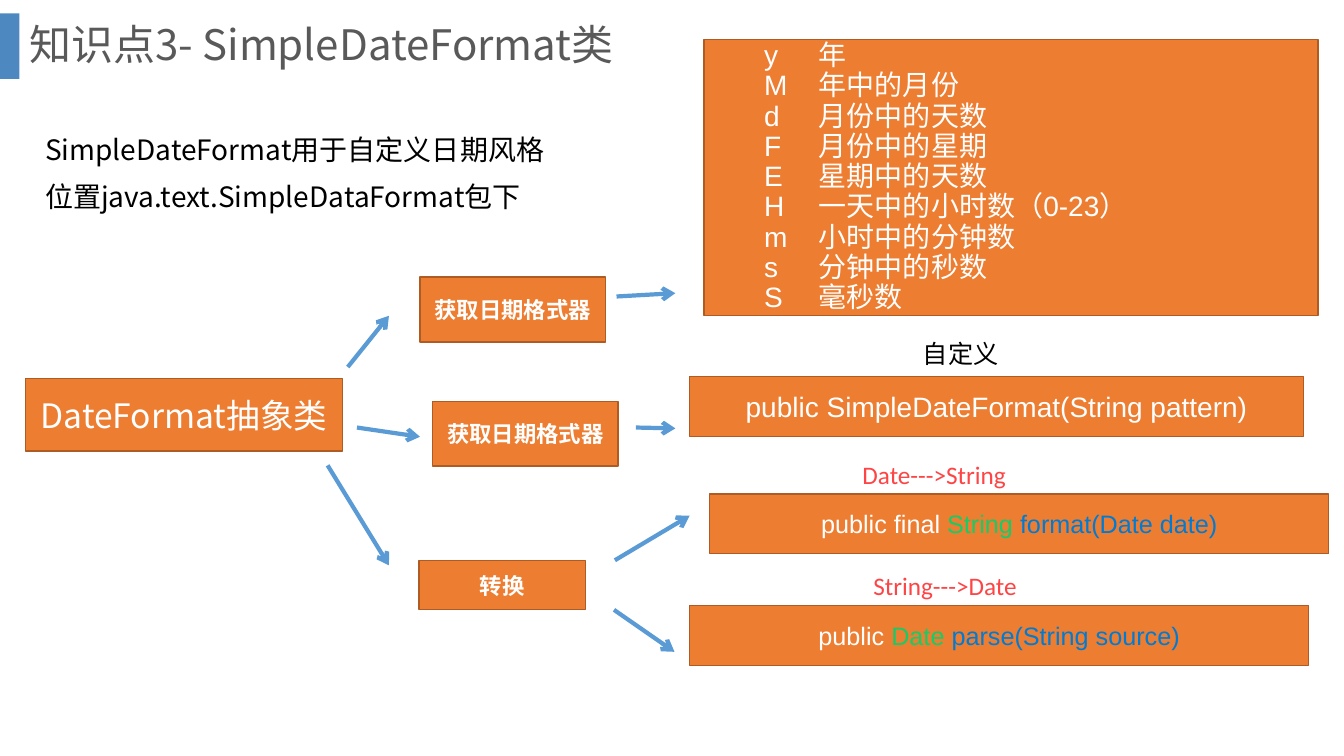
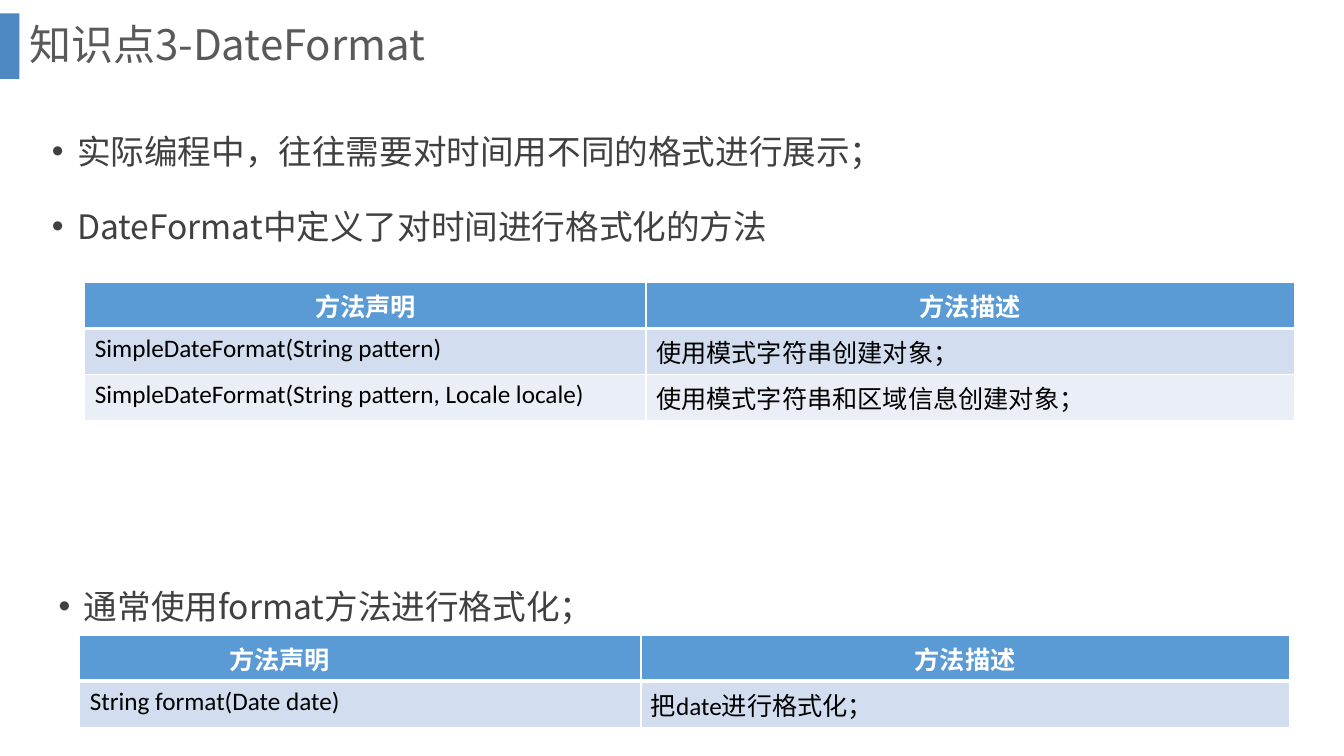
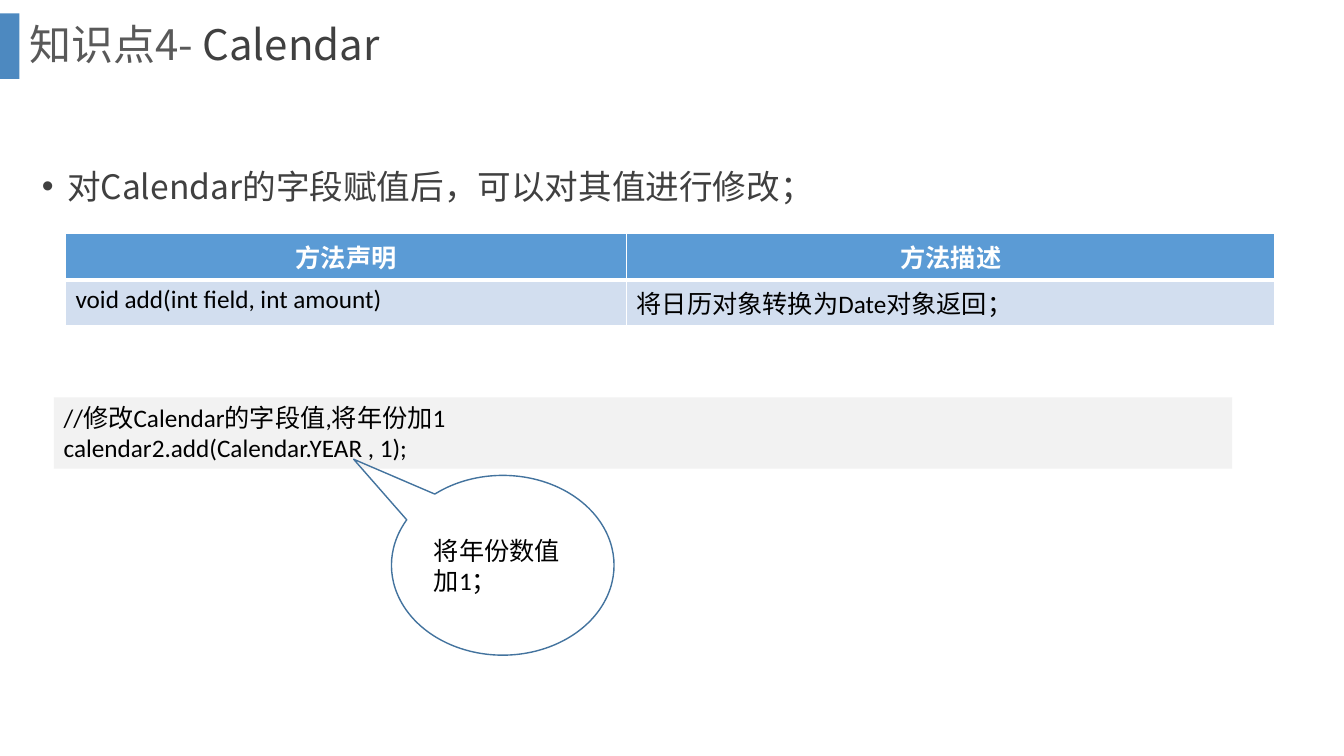
"""Builds three slides on date formatting and calendar classes."""
from dataclasses import dataclass, replace
from typing import NamedTuple, Optional, Sequence, Union

from lxml import etree
from pptx import Presentation, util as u
from pptx.dml import color
from pptx.enum import lang, shapes, text
from pptx.oxml import ns

COLUMNS, ROWS = 160, 90
UNIT = u.Inches(1) // 12


class Gradient(NamedTuple):
    """Colours at the two ends of a horizontal gradient."""
    start: str
    end: str


Ink = Union[str, Gradient]


@dataclass(frozen=True)
class Theme:
    """Colours, fonts and type sizes of the deck."""
    white: str = "FFFFFF"
    black: str = "000000"
    heading: str = "595959"
    body: str = "404040"
    band: str = "2E75B6"
    orange: str = "ED7D31"
    orange_edge: str = "AF5C24"
    blue: str = "5B9BD5"
    blue_edge: str = "43739E"
    stripes: tuple[str, str] = ("D2DEEF", "EAEFF7")
    code: str = "F2F2F2"
    green: Gradient = Gradient("14CD68", "035C7D")
    azure: Gradient = Gradient("007BD3", "034373")
    red: Gradient = Gradient("FE4444", "832B2B")
    cjk: str = "Noto Sans CJK SC"
    latin: str = "Calibri"
    sans: str = "Arial"
    title_size: int = 30
    body_size: int = 24
    large_size: int = 20
    base_size: int = 18
    small_size: int = 16


THEME = Theme()
LEFT, CENTER = text.PP_ALIGN.LEFT, text.PP_ALIGN.CENTER
TOP, MIDDLE = text.MSO_ANCHOR.TOP, text.MSO_ANCHOR.MIDDLE


class Area(NamedTuple):
    """Left, top, width and height in grid columns and rows."""
    left: float
    top: float
    width: float
    height: float


class Run(NamedTuple):
    """A piece of text with an optional colour of its own."""
    text: str
    ink: Optional[Ink] = None


class Arrow(NamedTuple):
    """Start and end of an arrow in grid columns and rows."""
    start_x: float
    start_y: float
    end_x: float
    end_y: float


@dataclass(frozen=True)
class Style:
    """Paragraph look; margin and hanging are grid columns."""
    size: int = THEME.base_size
    font: str = THEME.latin
    ink: str = THEME.black
    bold: bool = False
    align: text.PP_ALIGN = LEFT
    spacing: float = 1.0
    before: int = 0
    margin: float = 0
    hanging: float = 0
    bullet: str = ""


PLAIN = Style()
TITLE = Style(THEME.title_size, THEME.cjk, THEME.heading, spacing=0.9)
BULLET = Style(THEME.body_size, THEME.cjk, THEME.body, spacing=1.5, before=10,
               margin=3, hanging=3, bullet="•")
INTRO = Style(THEME.large_size, THEME.cjk, spacing=1.4)
LABEL = Style(spacing=1.4)
HEADER = Style(ink=THEME.white, bold=True, align=CENTER)
STEP = replace(HEADER, size=THEME.small_size)
CLASS_NAME = Style(THEME.body_size, THEME.cjk, THEME.white, align=CENTER)
METHOD = Style(font=THEME.sans, ink=THEME.white, align=CENTER)
CONSTRUCTOR = replace(METHOD, size=THEME.large_size)
LEGEND = replace(CONSTRUCTOR, align=LEFT, spacing=0.9, margin=12.5, hanging=6.5)

Line = Union[str, Sequence[Run]]


class Box(NamedTuple):
    """An orange box with its text."""
    area: Area
    lines: Sequence[Line]
    style: Style


def grid(value: float) -> u.Emu:
    """Turn grid cells into a length."""
    return u.Emu(round(value * UNIT))


def rgb(value: str) -> color.RGBColor:
    """Turn a hex string into a colour."""
    return color.RGBColor.from_string(value)


def apply_ink(fill, ink: Ink) -> None:
    """Fill with a plain colour or a gradient."""
    if isinstance(ink, Gradient):
        fill.gradient()
        fill.gradient_angle = 0
        for stop, value in zip(fill.gradient_stops, ink):
            stop.color.rgb = rgb(value)
    else:
        fill.solid()
        fill.fore_color.rgb = rgb(ink)


def indent(paragraph, style: Style) -> None:
    """Set the hanging indent and the bullet."""
    properties = paragraph._p.get_or_add_pPr()
    properties.set("marL", str(grid(style.margin)))
    properties.set("indent", str(-grid(style.hanging)))
    if style.bullet:
        etree.SubElement(properties, ns.qn("a:buFont"), typeface=THEME.sans)
        etree.SubElement(properties, ns.qn("a:buChar"), char=style.bullet)


def write(frame, lines: Sequence[Line], style: Style) -> None:
    """Write one paragraph per line."""
    for index, line in enumerate(lines):
        paragraph = frame.add_paragraph() if index else frame.paragraphs[0]
        if style.margin:
            indent(paragraph, style)
        paragraph.alignment = style.align
        paragraph.line_spacing = style.spacing
        paragraph.space_before = u.Pt(style.before)
        font = paragraph.font
        font.size, font.name, font.bold = u.Pt(style.size), style.font, style.bold
        font.language_id = lang.MSO_LANGUAGE_ID.SIMPLIFIED_CHINESE
        apply_ink(font.fill, style.ink)
        for part in [Run(line)] if isinstance(line, str) else line:
            run = paragraph.add_run()
            run.text = part.text
            if part.ink:
                apply_ink(run.font.fill, part.ink)


def add_text(slide, area: Area, lines: Sequence[Line], style: Style,
             anchor: text.MSO_ANCHOR = TOP) -> None:
    """Add a text box."""
    frame = slide.shapes.add_textbox(*map(grid, area)).text_frame
    frame.word_wrap = True
    frame.vertical_anchor = anchor
    write(frame, lines, style)


def add_figure(slide, area: Area, lines: Sequence[Line] = (), style: Style = PLAIN,
               fill: Optional[str] = None, edge: Optional[str] = None,
               anchor: text.MSO_ANCHOR = MIDDLE,
               kind: shapes.MSO_SHAPE = shapes.MSO_SHAPE.RECTANGLE):
    """Add a preset shape with text."""
    shape = slide.shapes.add_shape(kind, *map(grid, area))
    shape.shadow.inherit = False
    if fill:
        apply_ink(shape.fill, fill)
    else:
        shape.fill.background()
    if edge:
        apply_ink(shape.line.fill, edge)
        shape.line.width = u.Pt(1)
    else:
        shape.line.fill.background()
    shape.text_frame.word_wrap = True
    shape.text_frame.vertical_anchor = anchor
    write(shape.text_frame, lines, style)
    return shape


def add_arrow(slide, arrow: Arrow) -> None:
    """Add a straight blue arrow."""
    connector = slide.shapes.add_connector(shapes.MSO_CONNECTOR.STRAIGHT,
                                           *map(grid, arrow))
    apply_ink(connector.line.fill, THEME.blue)
    connector.line.width = u.Pt(3)
    etree.SubElement(connector.line._get_or_add_ln(), ns.qn("a:tailEnd"), type="arrow")
    etree.SubElement(connector._element.spPr, ns.qn("a:effectLst"))


def add_borders(cell, row: int) -> None:
    """Draw white cell borders, thicker below the header."""
    properties = cell._tc.get_or_add_tcPr()
    widths = {"lnL": 1, "lnR": 1, "lnT": 3 if row == 1 else 1, "lnB": 1 if row else 3}
    for tag, width in widths.items():
        border = etree.SubElement(properties, ns.qn(f"a:{tag}"), w=str(u.Pt(width)))
        fill = etree.SubElement(border, ns.qn("a:solidFill"))
        etree.SubElement(fill, ns.qn("a:srgbClr"), val=THEME.white)


def add_methods(slide, left: float, top: float, methods: Sequence[tuple[str, str]],
                header_margin: float = 1.2) -> None:
    """Add a table of methods with their descriptions."""
    widths, height = (66.8, 77.2), 5.5
    rows = [("方法声明", "方法描述"), *methods]
    area = Area(left, top, sum(widths), height * len(rows))
    table = slide.shapes.add_table(len(rows), len(widths), *map(grid, area)).table
    table.horz_banding = False
    for column, width in zip(table.columns, widths):
        column.width = grid(width)
    for row, values in enumerate(rows):
        table.rows[row].height = grid(height)
        for column, value in enumerate(values):
            cell = table.cell(row, column)
            add_borders(cell, row)
            apply_ink(cell.fill, THEME.stripes[(row - 1) % 2] if row else THEME.blue)
            write(cell.text_frame, [value], PLAIN if row else HEADER)
    table.cell(0, 0).margin_right = grid(header_margin)


def add_slide(presentation, title: Line):
    """Add a blank slide with the side band and the title."""
    slide = presentation.slides.add_slide(presentation.slide_layouts[6])
    band = add_figure(slide, Area(0, 1.6, 2.3, 7.8), fill=THEME.band)
    tint = next(band._element.spPr.iter(ns.qn("a:srgbClr")))
    etree.SubElement(tint, ns.qn("a:alpha"), val="85000")
    add_text(slide, Area(2.3, 0, 151.9, 11.2), [title], TITLE, MIDDLE)
    return slide


def build_simple_date_format(presentation) -> None:
    """Draw the class diagram with the pattern letters."""
    slide = add_slide(presentation, "知识点3- SimpleDateFormat类")
    letters = {"y": "年", "M": "年中的月份", "d": "月份中的天数", "F": "月份中的星期",
               "E": "星期中的天数", "H": "一天中的小时数（0-23）", "m": "小时中的分钟数",
               "s": "分钟中的秒数", "S": "毫秒数"}
    format_line = [Run("public final "), Run("String", THEME.green),
                   Run(" format(Date date)", THEME.azure)]
    parse_line = [Run("public "), Run("Date ", THEME.green),
                  Run("parse(String source)", THEME.azure)]
    boxes = [
        Box(Area(3, 45.1, 37.8, 8.6), ["DateFormat抽象类"], CLASS_NAME),
        Box(Area(50, 33, 22.1, 7.7), ["获取日期格式器"], STEP),
        Box(Area(51.5, 47.8, 22.1, 7.7), ["获取日期格式器"], STEP),
        Box(Area(49.9, 66.7, 19.8, 5.9), ["转换"], STEP),
        Box(Area(83.8, 4.7, 73.1, 32.9), ["\t".join(i) for i in letters.items()], LEGEND),
        Box(Area(82.1, 44.8, 73.1, 7.2),
            ["public SimpleDateFormat(String pattern)"], CONSTRUCTOR),
        Box(Area(84.5, 58.8, 73.7, 7.1), [format_line], METHOD),
        Box(Area(82.1, 72.1, 73.7, 7.1), [parse_line], METHOD),
    ]
    for box in boxes:
        add_figure(slide, *box, fill=THEME.orange, edge=THEME.orange_edge)
    arrows = [
        Arrow(41.4, 43.7, 46.3, 37.6), Arrow(42.5, 50.9, 50, 52),
        Arrow(39, 55.4, 46.3, 67.3), Arrow(73.4, 35.3, 80.4, 34.9),
        Arrow(75.7, 50.9, 80.4, 51), Arrow(73.2, 66.7, 82.1, 61.4),
        Arrow(73.1, 72.6, 80.3, 77.6),
    ]
    for arrow in arrows:
        add_arrow(slide, arrow)
    add_text(slide, Area(108.7, 39.7, 14, 4.8), ["自定义"], PLAIN)
    conversions = [(Area(101.5, 52.6, 24, 6.2), "Date--->String"),
                   (Area(102.8, 65.9, 24, 6.2), "String--->Date")]
    for area, label in conversions:
        add_text(slide, area, [[Run(label, THEME.red)]], LABEL)
    add_text(slide, Area(4.2, 13.6, 79.4, 12.5),
             ["SimpleDateFormat用于自定义日期风格",
              "位置java.text.SimpleDataFormat包下"], INTRO)


def build_date_format(presentation) -> None:
    """Draw the constructors and the format method."""
    slide = add_slide(presentation, "知识点3-DateFormat")
    add_text(slide, Area(5, 12.6, 144.6, 34.3),
             ["实际编程中，往往需要对时间用不同的格式进行展示；",
              "DateFormat中定义了对时间进行格式化的方法"], BULLET)
    add_methods(slide, 10.1, 33.6, [
        ("SimpleDateFormat(String pattern)", "使用模式字符串创建对象；"),
        ("SimpleDateFormat(String pattern, Locale locale)",
         "使用模式字符串和区域信息创建对象；")])
    add_text(slide, Area(5.8, 66.8, 144.6, 7.8), ["通常使用format方法进行格式化；"], BULLET)
    add_methods(slide, 9.5, 75.6, [("String format(Date date)", "把date进行格式化；")],
                header_margin=20.4)


def build_calendar(presentation) -> None:
    """Draw the add method with its sample code."""
    slide = add_slide(presentation, [Run("知识点4- "), Run("Calendar", THEME.body)])
    add_text(slide, Area(3.8, 16.7, 144.6, 13.6),
             ["对Calendar的字段赋值后，可以对其值进行修改；"], BULLET)
    add_methods(slide, 7.8, 27.8, [("void add(int field, int amount)",
                                    "将日历对象转换为Date对象返回；")])
    add_figure(slide, Area(6.4, 47.3, 140.3, 8.5),
               ["//修改Calendar的字段值,将年份加1", "calendar2.add(Calendar.YEAR , 1);"],
               fill=THEME.code, anchor=TOP)
    callout = add_figure(slide, Area(46.6, 56.6, 26.5, 21.4), ["将年份数值加1；"],
                         edge=THEME.blue_edge, kind=shapes.MSO_SHAPE.OVAL_CALLOUT)
    callout.adjustments[0], callout.adjustments[1] = -0.67, -0.59


def main() -> None:
    """Build and save the deck."""
    presentation = Presentation()
    presentation.slide_width = grid(COLUMNS)
    presentation.slide_height = grid(ROWS)
    build_simple_date_format(presentation)
    build_date_format(presentation)
    build_calendar(presentation)
    presentation.save("out.pptx")


if __name__ == "__main__":
    main()
